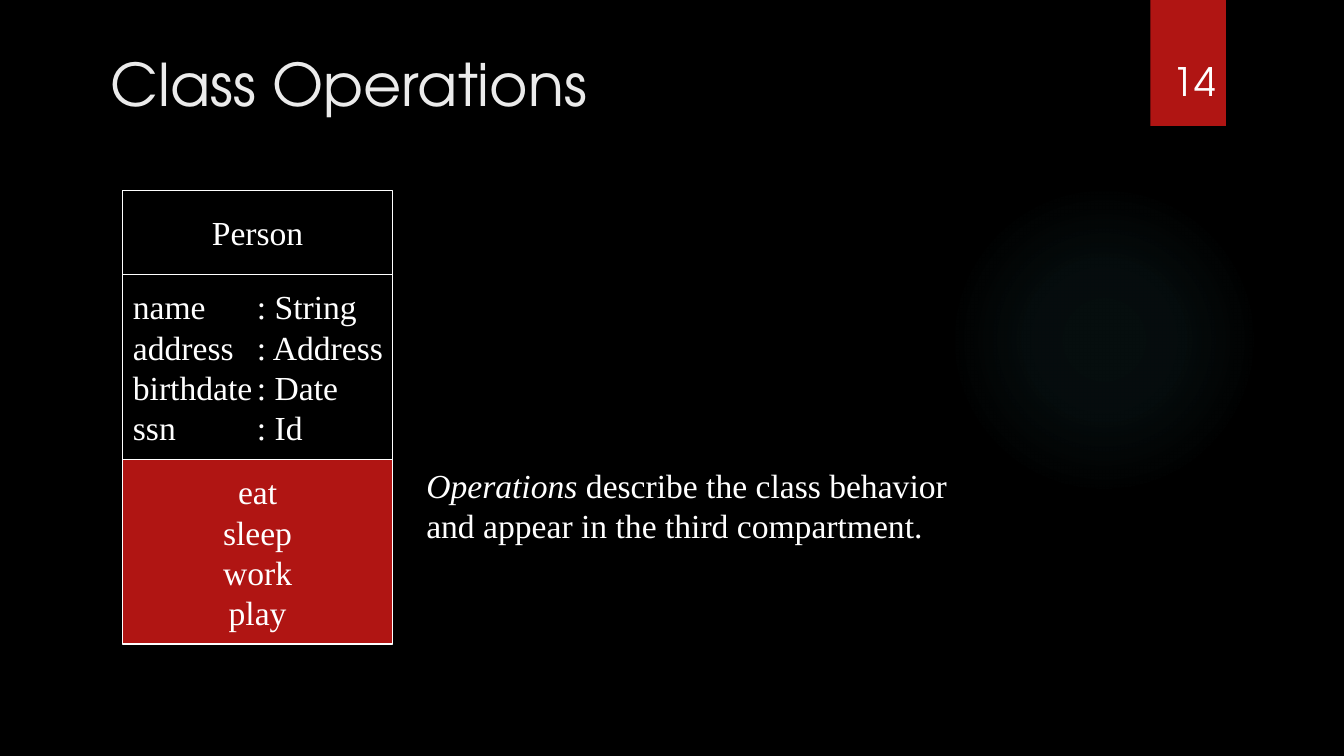
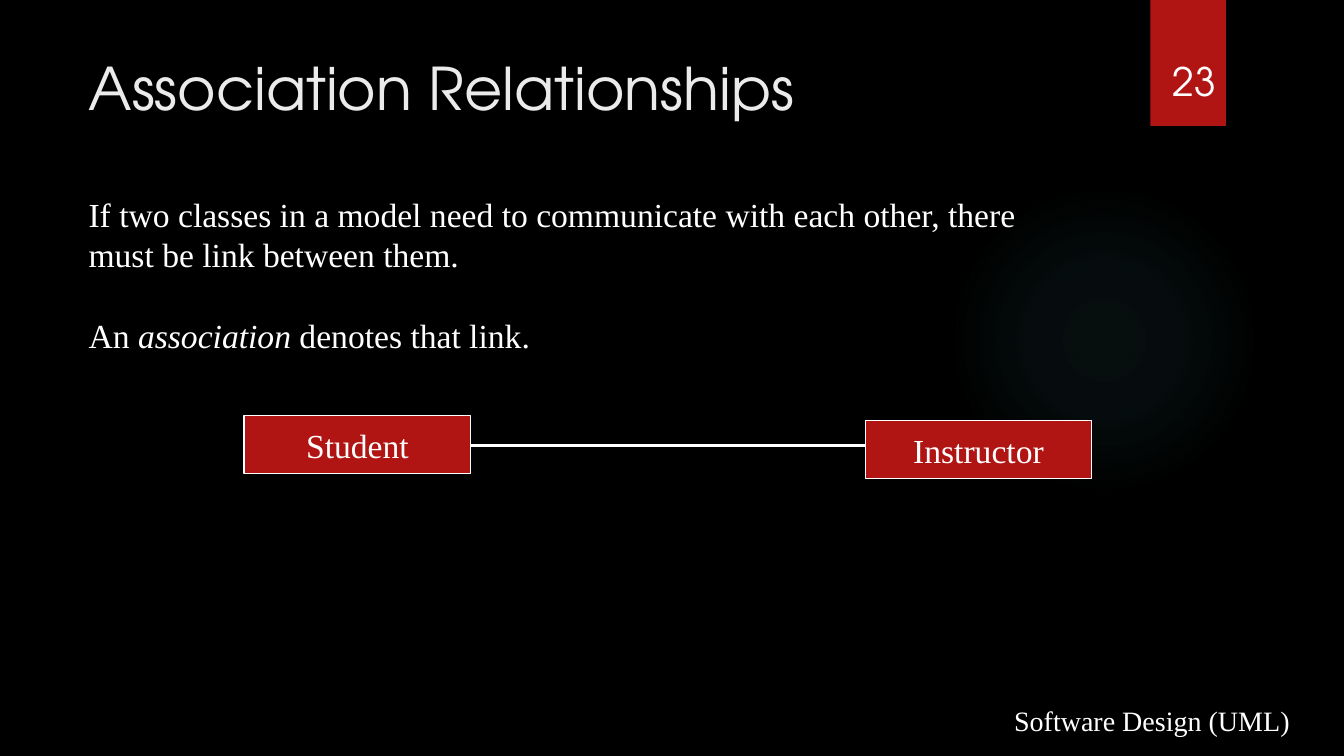
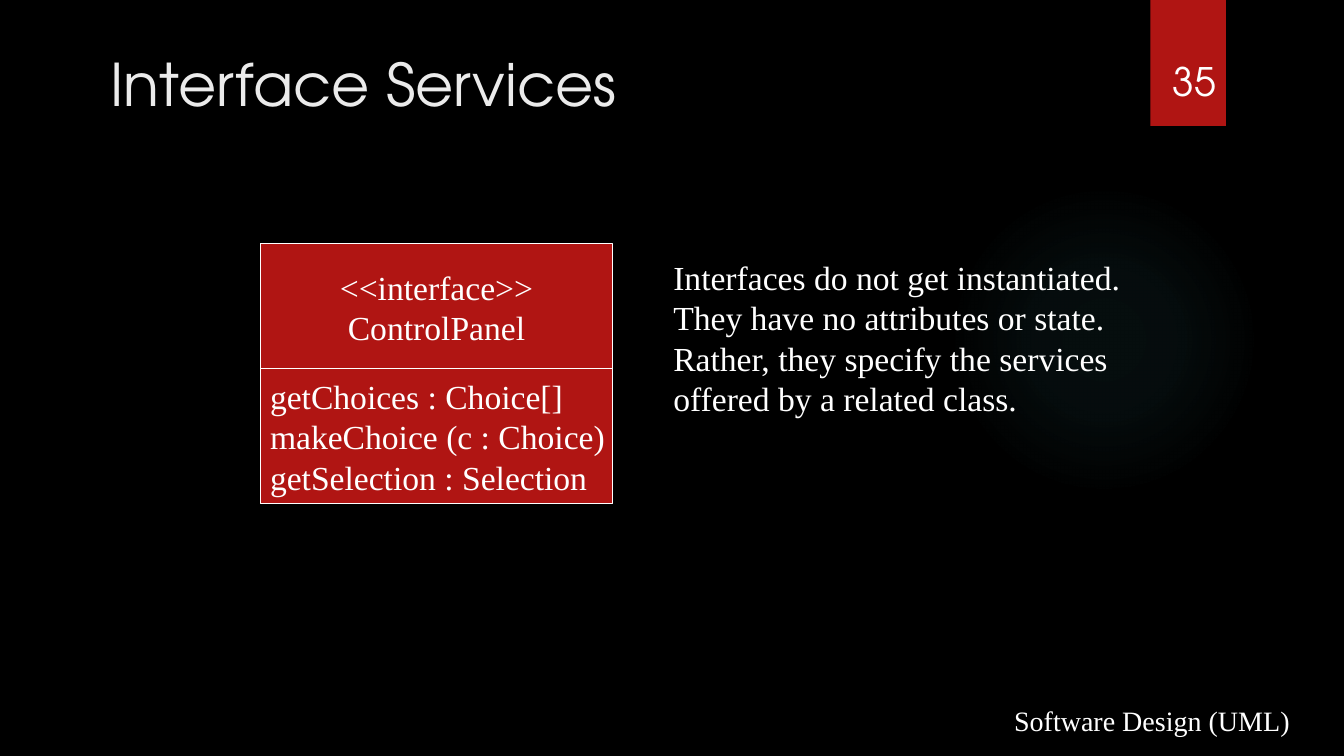
from lxml import etree
from pptx import Presentation
from pptx import util as u
from pptx.dml.color import RGBColor
from pptx.enum import shapes, text
from pptx.oxml import parse_xml
from pptx.oxml.ns import nsdecls, qn

COLORS = {"black": "000000", "red": "B01513", "white": "FFFFFF",
          "title": "EBEBEB", "glow": "50B9C1"}
SERIF, SANS = "Times New Roman", "TeX Gyre Adventor"
BODY = {"name": SERIF, "size": u.Pt(24)}
TITLE = {"name": SANS, "size": u.Pt(42)}
NUMBER = {"name": SANS, "size": u.Pt(28)}
FOOTER = {"name": SERIF, "size": u.Pt(20)}
GLOW_STOPS = [(0, 7), (36, 6), (69, 0)]  # position and opacity, percent
ATTRIBUTE_TAB = 1.23

# Content: a line is a string or a list of (words, italic) spans.
# A box is (left, top, width, height, fill, centred, lines).
SLIDES = [
    {"title": "Class Operations", "title_at": (1, 0.42), "number": "14", "footer": "",
     "boxes": [
         (1.22, 1.89, 2.67, 0.83, "black", True, ["Person"]),
         (1.22, 2.72, 2.67, 1.84, "black", False,
          ["name\t: String", "address\t: Address", "birthdate\t: Date", "ssn\t: Id"]),
         (1.22, 4.56, 2.67, 1.83, "red", True, ["eat", "sleep", "work", "play"])],
     "note_at": (4.13, 4.56, 5.5, 0.91), "note_gap": 0,
     "note": [[("Operations ", True), ("describe the class behavior", False)],
              "and appear in the third compartment."]},
    {"title": "Association Relationships", "title_at": (0.78, 0.46), "number": "23",
     "footer": "Software Design (UML)",
     "link": (4.67, 8.58, 4.42),
     "boxes": [
         (8.58, 4.17, 2.25, 0.58, "red", True, ["Instructor"]),
         (2.42, 4.12, 2.25, 0.58, "red", True, ["Student"])],
     "note_at": (0.78, 1.87, 9.92, 1.72), "note_gap": 28.8,
     "note": ["If two classes in a model need to communicate with each other, "
              "there must be link between them.",
              [("An ", False), ("association", True), (" denotes that link.", False)]]},
    {"title": "Interface Services", "title_at": (1, 0.42), "number": "35",
     "footer": "Software Design (UML)",
     "boxes": [
         (2.58, 2.42, 3.5, 1.25, "red", True, ["<<interface>>", "ControlPanel"]),
         (2.58, 3.66, 3.5, 1.34, "red", False,
          ["getChoices : Choice[]", "makeChoice (c : Choice)",
           "getSelection : Selection"])],
     "note_at": (6.58, 2.5, 4.83, 1.72), "note_gap": 0,
     "note": ["Interfaces do not get instantiated. They have no attributes or state. "
              "Rather, they specify the services offered by a related class."]},
]


def rgb(name):
    return RGBColor.from_string(COLORS[name])


def inches(values):
    return [u.Inches(value) for value in values]


def add_tab(para, position):
    stops = etree.SubElement(para._p.get_or_add_pPr(), qn("a:tabLst"))
    etree.SubElement(stops, qn("a:tab"), pos=str(u.Inches(position)), algn="l")


def write(shape, lines, font, color="white", align=text.PP_ALIGN.LEFT,
          anchor=text.MSO_ANCHOR.TOP, gap=0):
    frame = shape.text_frame
    frame.word_wrap, frame.vertical_anchor = True, anchor
    for index, line in enumerate(lines):
        para = frame.add_paragraph() if index else frame.paragraphs[0]
        para.alignment = align
        if index and gap:
            para.space_before = u.Pt(gap)
        spans = [(line, False)] if isinstance(line, str) else line
        if any("\t" in words for words, _ in spans):
            add_tab(para, ATTRIBUTE_TAB)
        for words, italic in spans:
            span = para.add_run()
            span.text = words
            for key, value in {**font, "italic": italic}.items():
                setattr(span.font, key, value)
            span.font.color.rgb = rgb(color)


def add_label(page, at, lines, font, **options):
    write(page.shapes.add_textbox(*inches(at)), lines, font, **options)


def add_block(page, kind, at, fill):
    shape = page.shapes.add_shape(kind, *inches(at))
    shape.shadow.inherit = False
    shape.fill.solid()
    shape.fill.fore_color.rgb = rgb(fill)
    shape.line.fill.background()
    return shape


def add_glow(page):
    glow = add_block(page, shapes.MSO_SHAPE.OVAL, (9.41, 1.83, 3.08, 3.08), "glow")
    stops = "".join(
        f'<a:gs pos="{pos * 1000}"><a:srgbClr val="{COLORS["glow"]}">'
        f'<a:alpha val="{alpha * 1000}"/></a:srgbClr></a:gs>' for pos, alpha in GLOW_STOPS)
    gradient = parse_xml(
        f'<a:gradFill {nsdecls("a")} rotWithShape="1"><a:gsLst>{stops}</a:gsLst>'
        '<a:path path="circle"><a:fillToRect l="50000" t="50000" r="50000" b="50000"/>'
        '</a:path></a:gradFill>')
    props = glow._element.spPr
    props.replace(props.find(qn("a:solidFill")), gradient)


def add_page(deck, content):
    """Background, glow, number badge, title and footer shared by every slide."""
    page = deck.slides.add_slide(deck.slide_layouts[6])
    page.background.fill.solid()
    page.background.fill.fore_color.rgb = rgb("black")
    add_glow(page)
    add_block(page, shapes.MSO_SHAPE.RECTANGLE, (11.41, 0, 0.75, 1.25), "red")
    add_label(page, (*content["title_at"], 10, 0.58), [content["title"]], TITLE, color="title")
    add_label(page, (11.53, 0.52, 0.92, 0.79), [content["number"]], NUMBER)
    if content["footer"]:
        add_label(page, (9.96, 7.03, 3.3, 0.33), [content["footer"]], FOOTER,
                  anchor=text.MSO_ANCHOR.BOTTOM)
    return page


def add_class_box(page, left, top, width, height, fill, centred, lines):
    box = add_block(page, shapes.MSO_SHAPE.RECTANGLE, (left, top, width, height), fill)
    box.line.color.rgb = rgb("white")
    box.line.width = u.Pt(0.75)
    if not centred:
        box.text_frame.margin_right = 0
    align = text.PP_ALIGN.CENTER if centred else text.PP_ALIGN.LEFT
    write(box, lines, BODY, align=align, anchor=text.MSO_ANCHOR.MIDDLE)


def add_link(page, start, end, level):
    link = page.shapes.add_connector(shapes.MSO_CONNECTOR.STRAIGHT,
                                     *inches((start, level, end, level)))
    link.line.color.rgb = rgb("white")
    link.line.width = u.Pt(2.25)
    etree.SubElement(link._element.spPr, qn("a:effectLst"))


def main():
    deck = Presentation()
    deck.slide_width, deck.slide_height = inches((13.33, 7.5))
    for content in SLIDES:
        page = add_page(deck, content)
        if "link" in content:
            add_link(page, *content["link"])
        for box in content["boxes"]:
            add_class_box(page, *box)
        add_label(page, content["note_at"], content["note"], BODY, gap=content["note_gap"])
    deck.save("out.pptx")


if __name__ == "__main__":
    main()
